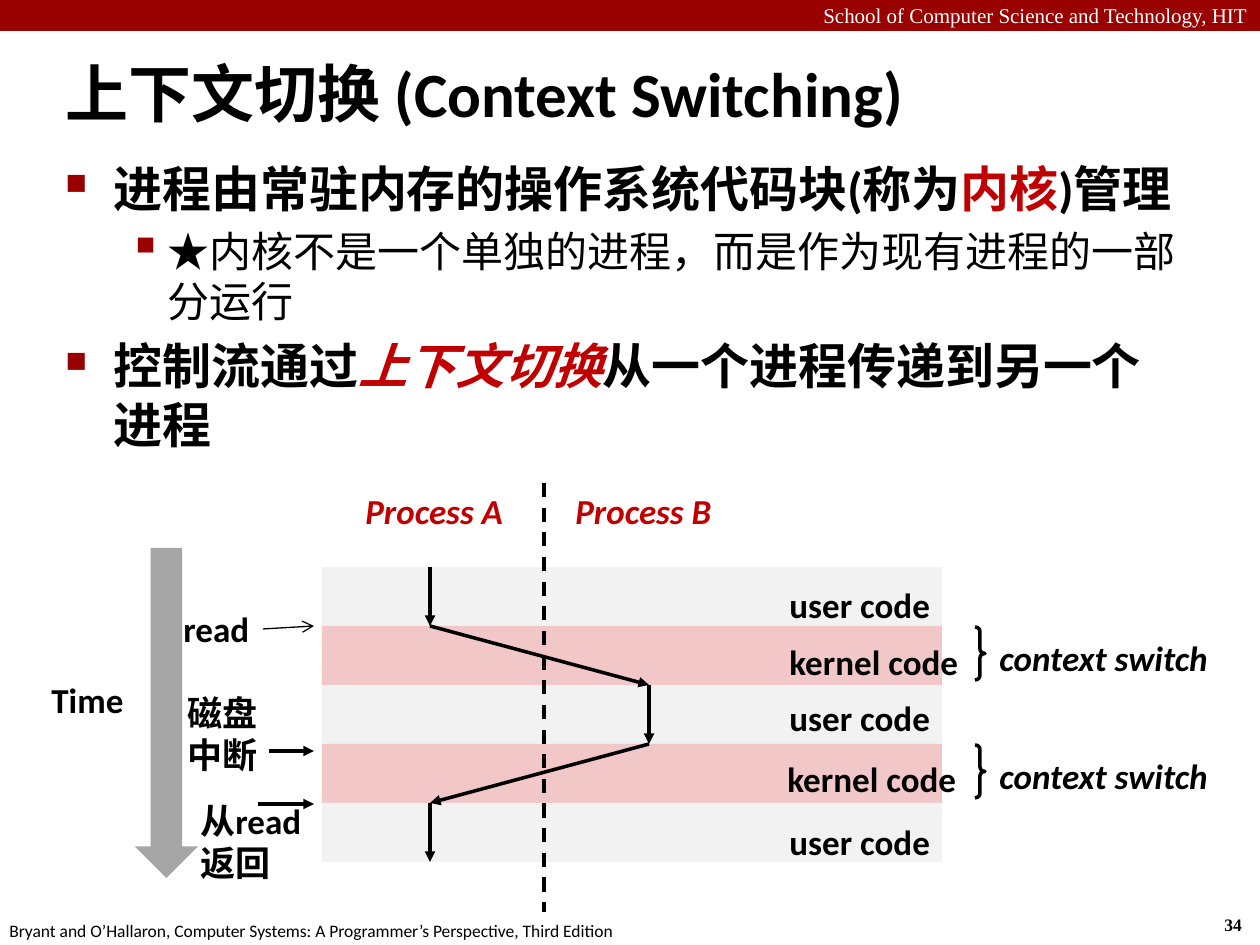
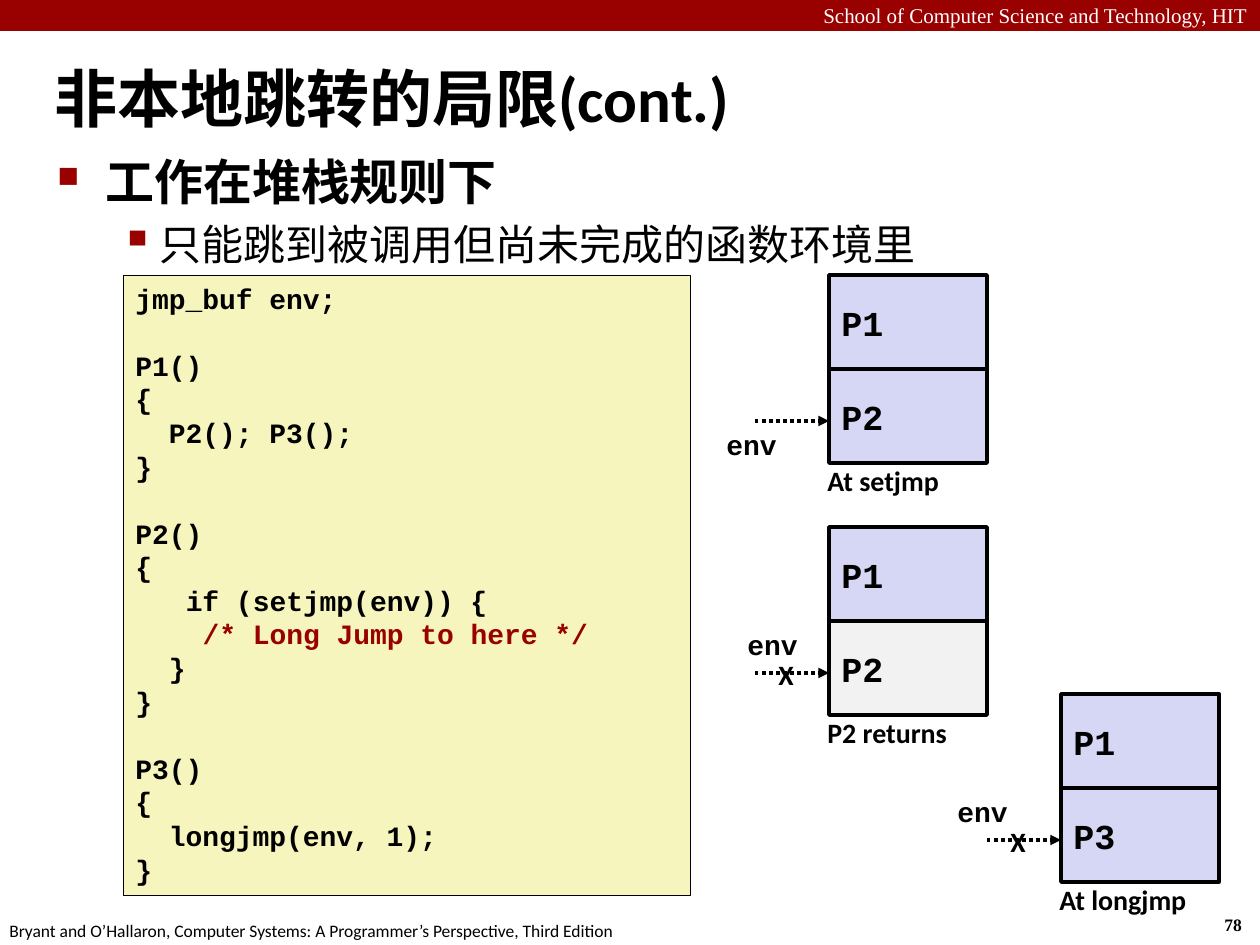
from itertools import pairwise

from lxml import etree
from pptx import Presentation
from pptx import util as u
from pptx.dml.color import RGBColor
from pptx.enum import dml, shapes, text
from pptx.oxml.ns import qn

PX = 914400 / 126
WIDTH, HEIGHT = 1260, 945

BLACK = RGBColor(0x00, 0x00, 0x00)
WHITE = RGBColor(0xFF, 0xFF, 0xFF)
CRIMSON = RGBColor(0x99, 0x00, 0x00)
ACCENT = RGBColor(0xC0, 0x00, 0x00)
USER_GREY = RGBColor(0xF2, 0xF2, 0xF2)
KERNEL_PINK = RGBColor(0xF1, 0xC7, 0xC7)
TIME_GREY = RGBColor(0xA6, 0xA6, 0xA6)
CODE_YELLOW = RGBColor(0xF6, 0xF5, 0xBD)
FRAME_BLUE = RGBColor(0xD6, 0xD6, 0xF5)

SANS, SERIF, MONO = "Calibri", "Times New Roman", "Courier New"
LINE_PITCH = u.Pt(19.2)
CODE_ADVANCE = 9.6

CODE = [
    "jmp_buf env;",
    "",
    "P1()",
    "{",
    "  P2(); P3();",
    "}",
    "",
    "P2()",
    "{",
    "   if (setjmp(env)) {",
    "    /* Long Jump to here */",
    "  }",
    "}",
    "",
    "P3()",
    "{",
    "  longjmp(env, 1);",
    "}",
]


def px(*lengths):
    """Turn pixel lengths into EMU."""
    return [u.Emu(round(length * PX)) for length in lengths]


def style(font, size, name=SANS, color=BLACK, bold=True, italic=False):
    """Set the look of a font."""
    font.size, font.name = u.Pt(size), name
    font.bold, font.italic = bold, italic
    font.color.rgb = color


def add_label(slide, words, box, size=20, wrap=False, align=None, **look):
    """Add a one-paragraph text box and return it."""
    label = slide.shapes.add_textbox(*px(*box))
    label.text_frame.word_wrap = wrap
    paragraph = label.text_frame.paragraphs[0]
    paragraph.add_run().text = words
    paragraph.alignment = align
    style(paragraph.font, size, **look)
    return label


def add_block(slide, kind, box, fill=None, line=0):
    """Add a preset shape with an optional fill and black outline."""
    shape = slide.shapes.add_shape(kind, *px(*box))
    shape.shadow.inherit = False
    if fill is None:
        shape.fill.background()
    else:
        shape.fill.solid()
        shape.fill.fore_color.rgb = fill
    if line:
        shape.line.color.rgb = BLACK
        shape.line.width = u.Pt(line)
    else:
        shape.line.fill.background()
    return shape


def add_line(slide, start, end, width=2, dash=None, head="triangle"):
    """Add a straight black line with an optional arrowhead at its end."""
    line = slide.shapes.add_connector(shapes.MSO_CONNECTOR.STRAIGHT, *px(*start, *end))
    line.line.color.rgb = BLACK
    line.line.width = u.Pt(width)
    if dash:
        line.line.dash_style = dash
    if head:
        etree.SubElement(line.line._get_or_add_ln(), qn("a:tailEnd"), type=head)
    etree.SubElement(line._element.spPr, qn("a:effectLst"))


def add_bullet(paragraph, level):
    """Give a paragraph the crimson bullet and hanging indent of its level."""
    margin, hang, mark, percent = [(48, 48, "■", 60), (102, 39, "▪", 110)][level]
    properties = paragraph._p.get_or_add_pPr()
    properties.set("marL", str(px(margin)[0]))
    properties.set("indent", str(-px(hang)[0]))
    color = etree.Element(qn("a:buClr"))
    etree.SubElement(color, qn("a:srgbClr"), val=str(CRIMSON))
    size = etree.Element(qn("a:buSzPct"), val=str(percent * 1000))
    character = etree.Element(qn("a:buChar"), char=mark)
    position = len(properties.findall(qn("a:spcBef")))
    for offset, element in enumerate((color, size, character)):
        properties.insert(position + offset, element)


def add_outline(slide, box, items):
    """Add bulleted paragraphs, each a level and its (words, look) runs."""
    body = slide.shapes.add_textbox(*px(*box))
    frame = body.text_frame
    frame.word_wrap = True
    for index, (level, runs) in enumerate(items):
        paragraph = frame.add_paragraph() if index else frame.paragraphs[0]
        size = (28, 24)[level]
        paragraph.level = level
        paragraph.space_before = u.Pt(size * 0.2)
        add_bullet(paragraph, level)
        style(paragraph.font, size, bold=level == 0)
        for words, look in runs:
            run = paragraph.add_run()
            run.text = words
            if look:
                style(run.font, size, **look)


def start_slide(presentation, title, title_box, number):
    """Add a slide with the shared band, footer, page number and title."""
    slide = presentation.slides.add_slide(presentation.slide_layouts[6])
    add_block(slide, shapes.MSO_SHAPE.RECTANGLE, (0, 0, WIDTH, 31), CRIMSON)
    add_label(slide, "School of Computer Science and Technology, HIT",
              (0, -4, WIDTH, 38), 12, wrap=True, align=text.PP_ALIGN.RIGHT,
              name=SERIF, color=WHITE, bold=False)
    add_label(slide, str(number), (1212, 908, 47, 34), 10, name=SERIF)
    add_label(slide, "Bryant and O’Hallaron, Computer Systems: "
              "A Programmer’s Perspective, Third Edition",
              (-3, 914, 640, 34), 10, bold=False)
    heading = add_label(slide, title, title_box, 36, wrap=True)
    heading.text_frame.vertical_anchor = text.MSO_ANCHOR.MIDDLE
    return slide


def draw_control_flow(slide, left, top, width, band):
    """Draw the code bands, the flow between two processes and the switches."""
    label_offsets = [(455, 10), (455, 8), (455, 5), (453, 7), (455, 11)]
    for index in range(5):
        kernel = index % 2 == 1
        band_top = top + index * band
        add_block(slide, shapes.MSO_SHAPE.RECTANGLE, (left, band_top, width, band),
                  KERNEL_PINK if kernel else USER_GREY)
    for index, (across, down) in enumerate(label_offsets):
        kernel = index % 2 == 1
        band_top = top + index * band
        add_label(slide, "kernel code" if kernel else "user code",
                  (left + across, band_top + down, 197 if kernel else 168, 55))
        if kernel:
            add_block(slide, shapes.MSO_SHAPE.RIGHT_BRACE,
                      (left + 653, band_top + 1, 10, 53),
                      line=2).adjustments[0] = 0.42
            add_label(slide, "context switch",
                      (left + 665, band_top + 4, 234, 55), italic=True)

    for name, across in (("Process A", 31), ("Process B", 241)):
        add_label(slide, name, (left + across, top - 84, 164, 55),
                  color=ACCENT, italic=True)
    add_line(slide, (left + 222, top - 84), (left + 222, top + 345),
             dash=dml.MSO_LINE.DASH, head=None)

    process_a, process_b = left + 108, left + 327
    columns = [process_a] * 2 + [process_b] * 2 + [process_a] * 2
    stops = [(column, top + index * band) for index, column in enumerate(columns)]
    for start, end in pairwise(stops):
        add_line(slide, start, end)


def draw_timeline(slide, left, top):
    """Draw the time arrow with its three events."""
    add_label(slide, "Time", (left, top + 124, 98, 55))
    add_block(slide, shapes.MSO_SHAPE.DOWN_ARROW, (left + 96, top, 63, 330), TIME_GREY)
    events = [
        ("read", (132, 53, 92, 55), (224, 81), 78, 0.75, "arrow"),
        ("磁盘中断", (136, 137, 120, 97), (230, 203), 203, 2, "triangle"),
        ("从read返回", (149, 245, 154, 97), (219, 256), 256, 2, "triangle"),
    ]
    for words, (across, down, *size), (tail_x, tail_y), end_y, width, head in events:
        add_label(slide, words, (left + across, top + down, *size), wrap=True)
        add_line(slide, (left + tail_x, top + tail_y), (left + 275, top + end_y),
                 width, head=head)


def draw_code(slide, box):
    """Draw the code panel, with blank lines as spacing and spaces as indents."""
    panel = add_block(slide, shapes.MSO_SHAPE.RECTANGLE, box, CODE_YELLOW, 0.25)
    frame = panel.text_frame
    frame.word_wrap = True
    frame.vertical_anchor = text.MSO_ANCHOR.TOP
    for index, (previous, line) in enumerate(pairwise(["{"] + CODE)):
        if not line:
            continue
        paragraph = frame.add_paragraph() if index else frame.paragraphs[0]
        words = line.lstrip()
        paragraph.add_run().text = words
        paragraph.alignment = text.PP_ALIGN.LEFT
        paragraph.line_spacing = LINE_PITCH
        if not previous:
            paragraph.space_before = LINE_PITCH
        indent = u.Pt(CODE_ADVANCE * (len(line) - len(words)))
        paragraph._p.get_or_add_pPr().set("marL", str(indent))
        style(paragraph.font, 16, MONO, CRIMSON if words.startswith("/*") else BLACK)


def draw_stack(slide, left, top, frames, caption, caption_width, env, broken):
    """Draw a two-frame stack with its caption and env pointer."""
    for index, (name, fill) in enumerate(frames):
        frame = add_block(slide, shapes.MSO_SHAPE.RECTANGLE,
                          (left, top + index * 94, 158, 94), fill, 2)
        frame.text_frame.word_wrap = False
        frame.text_frame.vertical_anchor = text.MSO_ANCHOR.MIDDLE
        paragraph = frame.text_frame.paragraphs[0]
        paragraph.add_run().text = name
        paragraph.alignment = text.PP_ALIGN.LEFT
        style(paragraph.font, 20, MONO)
    add_line(slide, (left - 74, top + 146), (left, top + 146),
             dash=dml.MSO_LINE.ROUND_DOT)
    add_label(slide, "env", (left + env[0], top + env[1], 76, 47), 16, name=MONO)
    add_label(slide, caption, (left - 14, top + 182, caption_width, 47), 16)
    if broken:
        add_label(slide, "X", (left - 63, top + 124, 42, 47), 16)


def build_context_switching(presentation):
    """Build the slide on context switching."""
    slide = start_slide(presentation, "上下文切换 (Context Switching)",
                        (53, 53, 1018, 79), 34)
    add_outline(slide, (53, 152, 1143, 352), [
        (0, [("进程由常驻内存的操作系统代码块(称为", None),
             ("内核", {"color": ACCENT}), (")管理", None)]),
        (1, [("★内核不是一个单独的进程，而是作为现有进程的一部分运行", None)]),
        (0, [("控制流通过", None),
             ("上下文切换", {"color": ACCENT, "italic": True}),
             ("从一个进程传递到另一个进程", None)]),
    ])
    draw_control_flow(slide, 322, 567, 620, 59)
    draw_timeline(slide, 39, 548)


def build_jump_limits(presentation):
    """Build the slide on the limits of nonlocal jumps."""
    slide = start_slide(presentation, "非本地跳转的局限(cont.)",
                        (42, 58, 1094, 79), 78)
    add_outline(slide, (45, 145, 1145, 160), [
        (0, [("工作在堆栈规则下", None)]),
        (1, [("只能跳到被调用但尚未完成的函数环境里", None)]),
    ])
    draw_code(slide, (123, 275, 567, 620))
    caller = ("P1", FRAME_BLUE)
    draw_stack(slide, 829, 275, [caller, ("P2", FRAME_BLUE)],
               "At setjmp", 139, (-115, 146), False)
    draw_stack(slide, 829, 527, [caller, ("P2", USER_GREY)],
               "P2 returns", 146, (-94, 94), True)
    draw_stack(slide, 1061, 694, [caller, ("P3", FRAME_BLUE)],
               "At longjmp", 154, (-116, 94), True)


def main():
    """Build and save the presentation."""
    presentation = Presentation()
    presentation.slide_width, presentation.slide_height = px(WIDTH, HEIGHT)
    build_context_switching(presentation)
    build_jump_limits(presentation)
    presentation.save("out.pptx")


if __name__ == "__main__":
    main()
